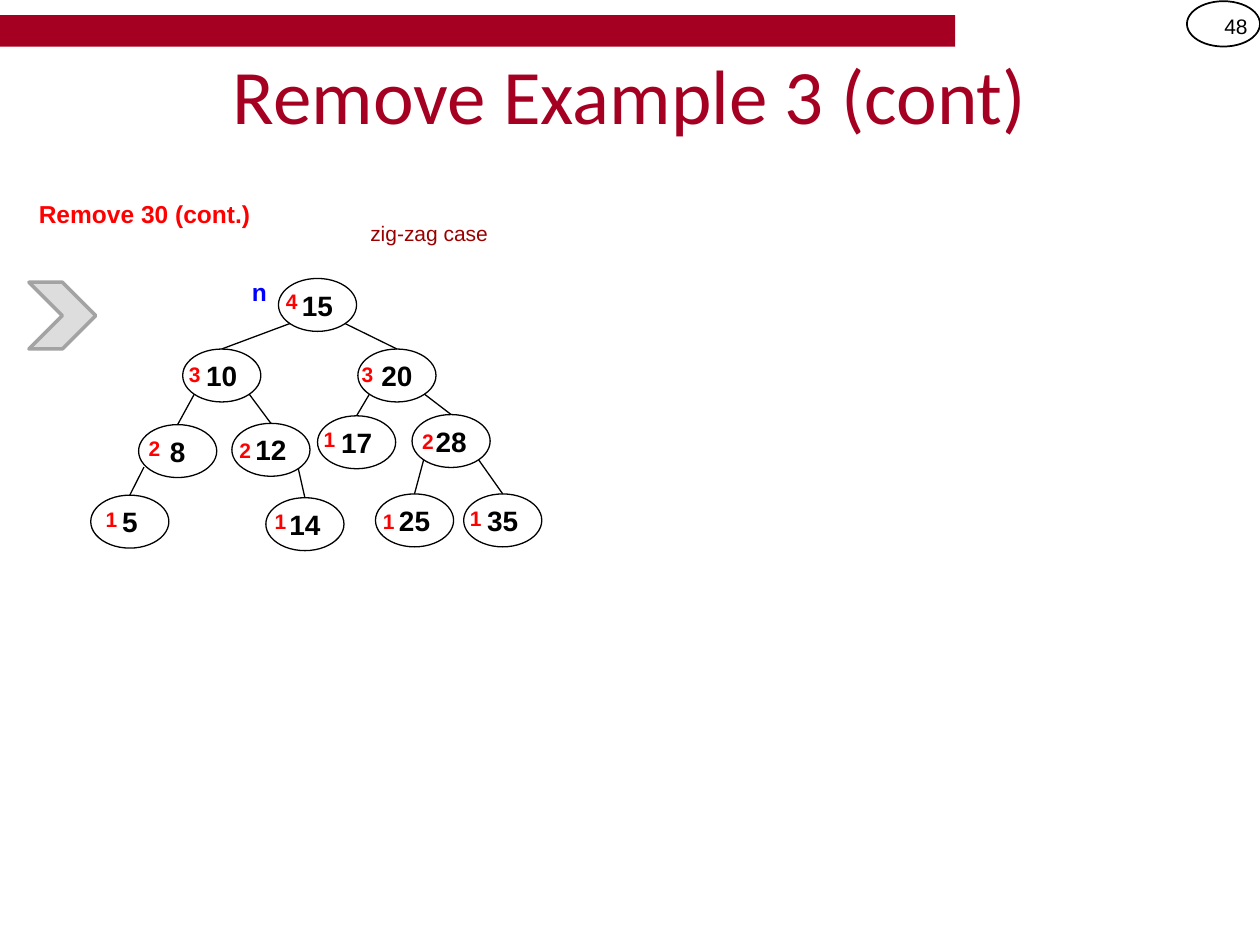
import dataclasses

import pptx
import pptx.dml.color
import pptx.enum.shapes
import pptx.enum.text
import pptx.oxml.ns
import pptx.util
from lxml import etree

SHAPE = pptx.enum.shapes.MSO_SHAPE
ALIGN = pptx.enum.text.PP_ALIGN
ANCHOR = pptx.enum.text.MSO_ANCHOR

# Slide grid: 100 columns by 75 rows
SLIDE_WIDTH = pptx.util.Inches(10)
SLIDE_HEIGHT = pptx.util.Inches(7.5)
COLUMNS, ROWS = 100, 75

# Tree nodes, in grid units
NODE_WIDTH, NODE_HEIGHT = 6.2, 4.2
CORNER_X, CORNER_Y = 0.15, 0.85  # where edges leave an ellipse, as shares of it
HEIGHT_WIDTH, HEIGHT_HEIGHT = 3.7, 3


@dataclasses.dataclass(frozen=True)
class Theme:
    brand: str = "A50021"
    ink: str = "000000"
    paper: str = "FFFFFF"
    alert: str = "FF0000"
    pointer: str = "0000FF"
    case: str = "990000"
    arrow_fill: str = "DDDDDD"
    arrow_line: str = "A3A3A3"
    title_font: str = "Calibri"
    body_font: str = "Arial"
    title_size: int = 44
    key_size: int = 16
    heading_size: int = 14
    small_size: int = 12
    thin: float = 0.75


THEME = Theme()

# key: (left, top, height of subtree, right and top of the height label)
NODES = {
    15: (22.1, 22.1, 4, 2.5, 0.3),
    10: (14.5, 27.7, 3, 2.4, 0.5),
    20: (28.4, 27.7, 3, 2.2, 0.5),
    8: (11.0, 33.7, 2, 2.7, 0.4),
    12: (18.4, 33.6, 2, 2.5, 0.6),
    17: (25.2, 33.0, 1, 2.4, 0.4),
    28: (32.7, 32.9, 2, 2.7, 0.6),
    5: (7.2, 39.3, 1, 3.1, 0.4),
    14: (21.1, 39.5, 1, 2.6, 0.4),
    25: (29.8, 39.2, 1, 2.5, 0.7),
    35: (36.8, 39.2, 1, 2.4, 0.4),
}
EDGES = [(15, 10), (15, 20), (10, 8), (10, 12), (20, 17), (20, 28),
         (8, 5), (12, 14), (28, 25), (28, 35)]
EDGE_SHIFTS = {(8, 5): (-0.5, -0.2)}


def col(columns):
    return round(SLIDE_WIDTH * columns / COLUMNS)


def row(rows):
    return round(SLIDE_HEIGHT * rows / ROWS)


def place(left, top, width, height):
    return col(left), row(top), col(width), row(height)


def rgb(color):
    return pptx.dml.color.RGBColor.from_string(color)


def write(frame, text, size, color, bold=False, font=THEME.body_font,
          align=ALIGN.LEFT, anchor=ANCHOR.TOP):
    frame.word_wrap = True
    frame.vertical_anchor = anchor
    paragraph = frame.paragraphs[0]
    paragraph.alignment = align
    run = paragraph.add_run()
    run.text = text
    run.font.size = pptx.util.Pt(size)
    run.font.name = font
    run.font.bold = bold
    run.font.color.rgb = rgb(color)


def add_text(slide, box, text, size, color, **style):
    frame = slide.shapes.add_textbox(*place(*box)).text_frame
    write(frame, text, size, color, **style)


def add_preset(slide, preset, box, fill=None, line=None, width=THEME.thin):
    shape = slide.shapes.add_shape(preset, *place(*box))
    shape.shadow.inherit = False
    if fill:
        shape.fill.solid()
        shape.fill.fore_color.rgb = rgb(fill)
    else:
        shape.fill.background()
    if line:
        shape.line.color.rgb = rgb(line)
        shape.line.width = pptx.util.Pt(width)
    else:
        shape.line.fill.background()
    return shape


def add_node(slide, key):
    left, top = NODES[key][:2]
    node = add_preset(slide, SHAPE.OVAL, (left, top, NODE_WIDTH, NODE_HEIGHT),
                      THEME.paper, THEME.ink)
    node.text_frame.margin_left = node.text_frame.margin_right = 0
    write(node.text_frame, str(key), THEME.key_size, THEME.ink, bold=True,
          align=ALIGN.CENTER, anchor=ANCHOR.MIDDLE)
    return node


def add_edge(slide, parent, child, child_node):
    left, top = NODES[parent][:2]
    child_left, child_top = NODES[child][:2]
    share = CORNER_X if child_left < left else 1 - CORNER_X
    shift_x, shift_y = EDGE_SHIFTS.get((parent, child), (0, 0))
    edge = slide.shapes.add_connector(
        pptx.enum.shapes.MSO_CONNECTOR.STRAIGHT,
        col(left + share * NODE_WIDTH + shift_x),
        row(top + CORNER_Y * NODE_HEIGHT + shift_y),
        col(child_left + NODE_WIDTH / 2), row(child_top))
    edge.end_connect(child_node, 0)
    edge.line.color.rgb = rgb(THEME.ink)
    edge.line.width = pptx.util.Pt(THEME.thin)
    etree.SubElement(edge._element.spPr, pptx.oxml.ns.qn("a:effectLst"))


def add_height(slide, key):
    left, top, height, right, drop = NODES[key]
    box = (left + right - HEIGHT_WIDTH, top + drop, HEIGHT_WIDTH, HEIGHT_HEIGHT)
    add_text(slide, box, str(height), THEME.small_size, THEME.alert,
             bold=True, align=ALIGN.RIGHT)


def add_tree(slide):
    nodes = {key: add_node(slide, key) for key in NODES}
    for parent, child in EDGES:
        add_edge(slide, parent, child, nodes[child])
    for key in NODES:
        add_height(slide, key)


def main():
    deck = pptx.Presentation()
    deck.slide_width, deck.slide_height = SLIDE_WIDTH, SLIDE_HEIGHT
    slide = deck.slides.add_slide(deck.slide_layouts[6])

    # Header: bar, page number and title
    add_text(slide, (94.2, 0.1, 5.8, 4), "48", THEME.small_size, THEME.ink,
             align=ALIGN.RIGHT, anchor=ANCHOR.MIDDLE)
    add_preset(slide, SHAPE.RECTANGLE, (0, 1.2, 75.8, 2.5), THEME.brand)
    add_preset(slide, SHAPE.OVAL, (94.2, 0.1, 5.8, 3.6), line=THEME.ink, width=1)
    add_text(slide, (5, 3, 90, 8.9), "Remove Example 3 (cont)",
             THEME.title_size, THEME.brand, font=THEME.title_font,
             align=ALIGN.CENTER, anchor=ANCHOR.MIDDLE)

    # Step heading, case and arrow
    add_text(slide, (2.1, 15.3, 20.4, 3.4), "Remove 30 (cont.)",
             THEME.heading_size, THEME.alert, bold=True)
    add_text(slide, (28.4, 17, 34.2, 3), "zig-zag case",
             THEME.small_size, THEME.case)
    add_preset(slide, SHAPE.CHEVRON, (2.3, 22.4, 5.3, 5.3),
               THEME.arrow_fill, THEME.arrow_line, 2)

    # AVL tree with the pointer to its root
    add_tree(slide)
    add_text(slide, (19, 21.5, 3.2, 3.4), "n", THEME.heading_size,
             THEME.pointer, bold=True)

    deck.save("out.pptx")


if __name__ == "__main__":
    main()
